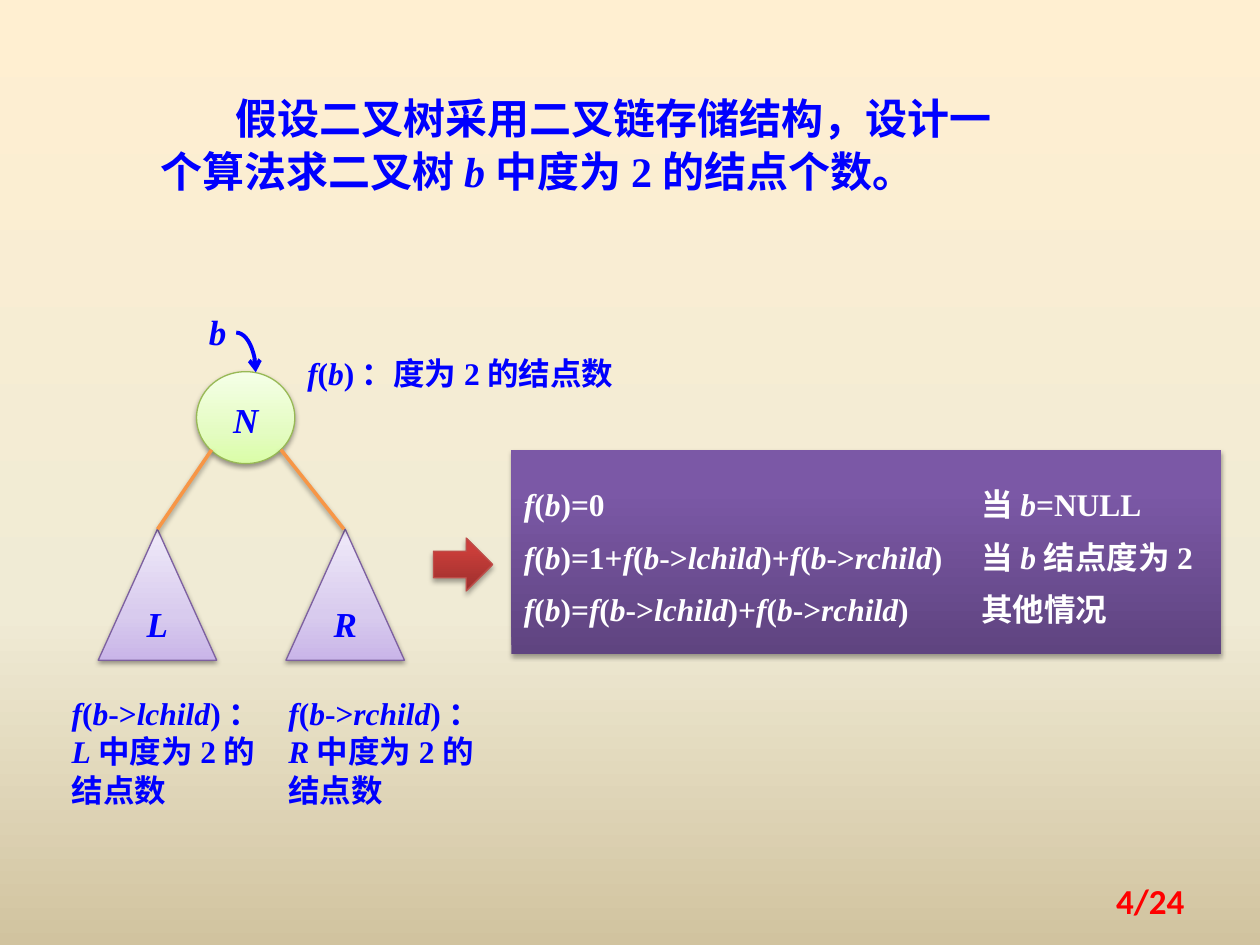
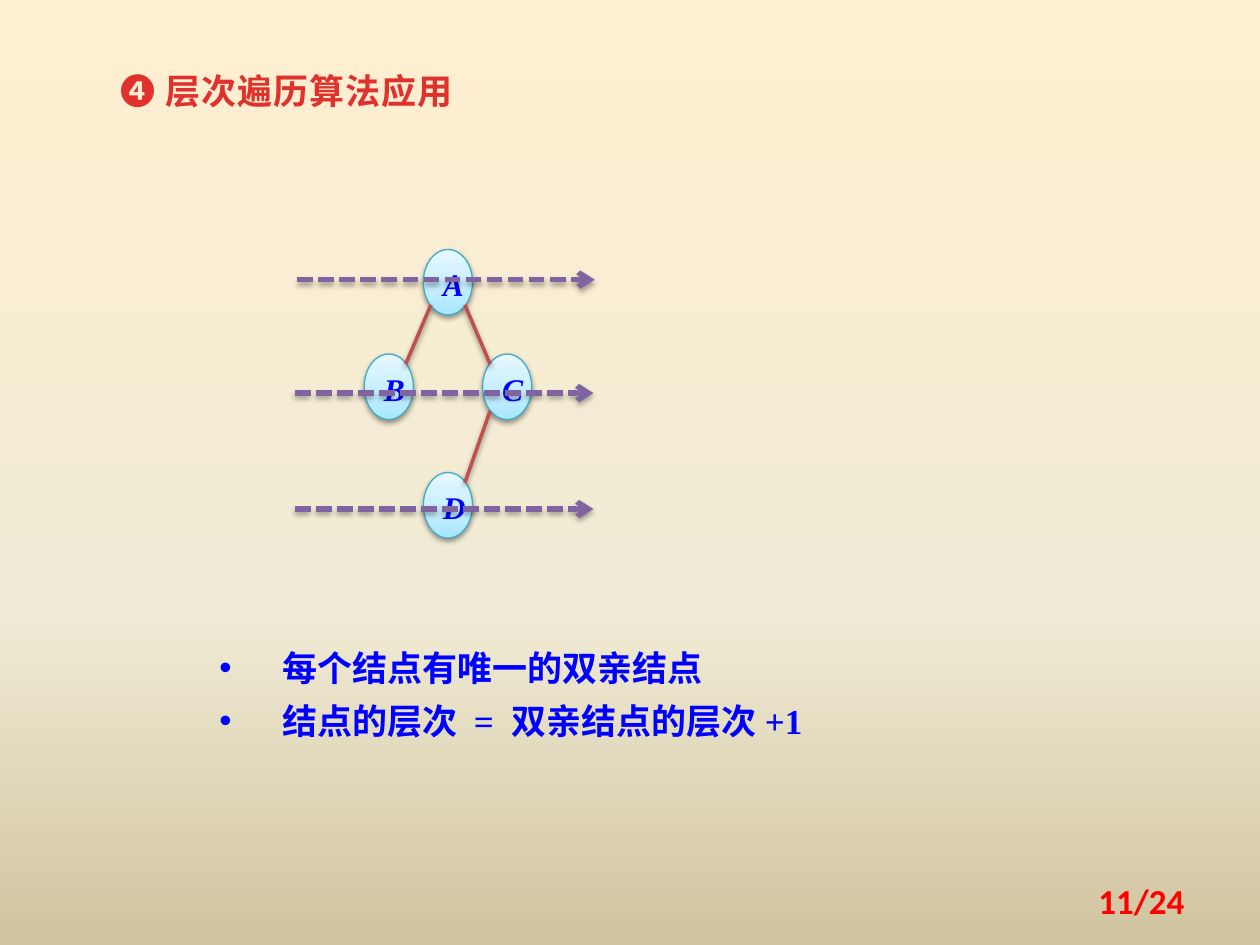
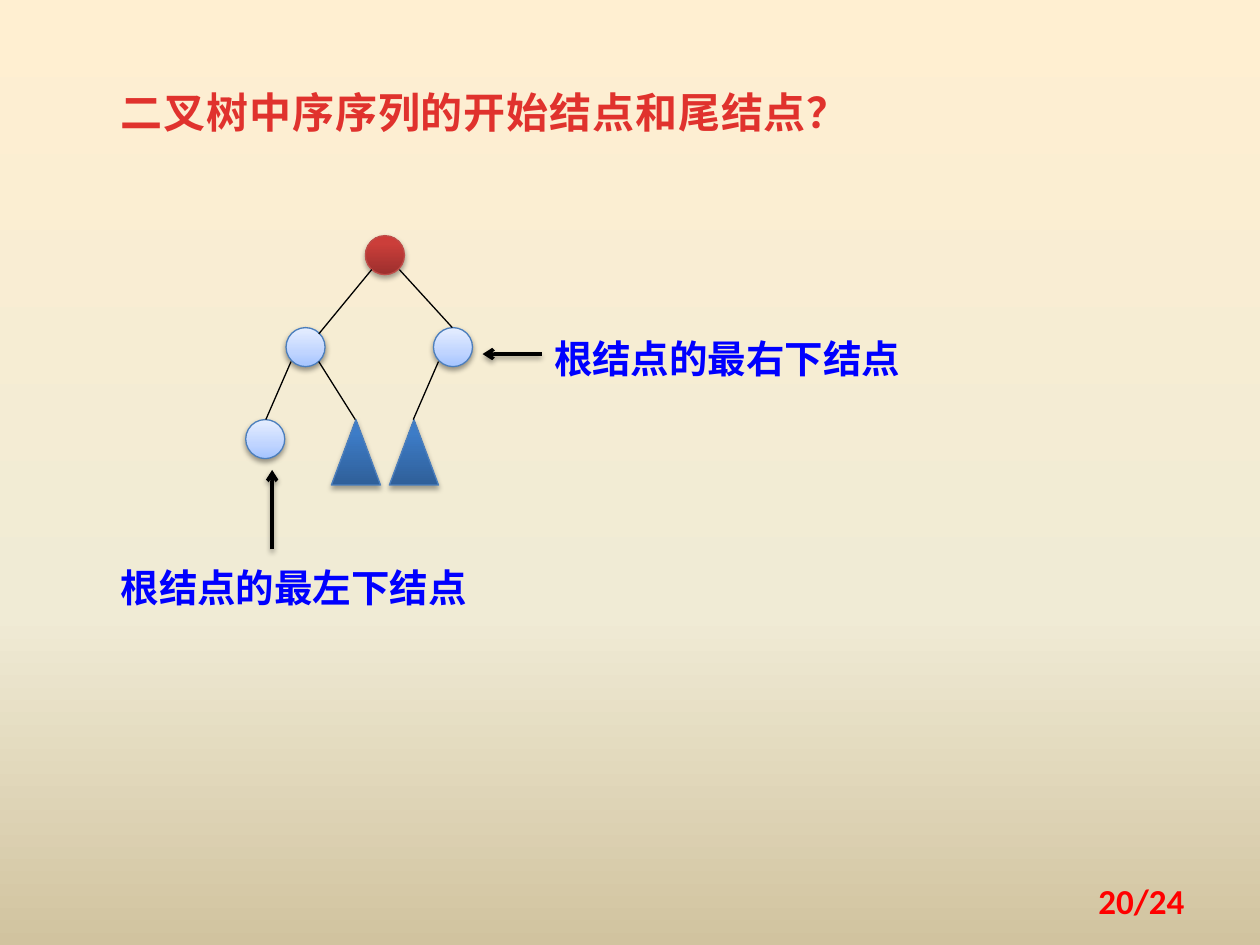
"""Builds three slides on binary tree algorithms."""
from lxml import etree
from pptx import Presentation
from pptx import util as u
from pptx.dml.color import RGBColor
from pptx.enum import dml, shapes, text
from pptx.oxml.ns import qn

COLOURS = {
    "blue": "0000FF", "red": "FF0000", "title red": "E0322D", "white": "FFFFFF",
    "black": "000000", "orange": "F79646", "brick": "C0504D", "purple": "8064A2",
    "page": "FFEFD1 F0EBD5 D1C39F",
    "green": "DAFDA7 E4FCC2 F5FFE7", "green edge": "98B955",
    "lilac": "C9B5E8 D8CBEE F0EAF9", "lilac edge": "7D60A0",
    "aqua": "A7E6FF C1EDFF E7F8FF", "aqua edge": "46AAC5",
    "sky": "A4C4FF BFD4FF E6EEFF", "sky edge": "4B7EBC",
    "violet": "5F4480 7B58A6 7C57A8",
    "crimson": "9C2F2D CB3E3A CE3B37", "crimson edge": "BF4C48",
    "navy": "2F5F99 3D7CC7 3A7CCB", "navy edge": "4B7EBC",
}
SERIF, SANS, NUMBER = "Times New Roman", "Noto Sans CJK SC", "Calibri"
STRONG = ("violet", "crimson", "navy")
SHAPE = shapes.MSO_SHAPE


def shade(fill, holder, name, middle, angle):
    """Give a fill a gradient of three colours."""
    fill.gradient()
    fill.gradient_angle = angle
    stops = next(holder.iter(qn("a:gsLst")))
    for stop in list(stops):
        stops.remove(stop)
    for place, value in zip((0, middle, 100), COLOURS[name].split()):
        stop = etree.SubElement(stops, qn("a:gs"), pos=str(place * 1000))
        etree.SubElement(stop, qn("a:srgbClr"), val=value)


def write(para, words, size, colour="blue", spacing=u.Pt(30), font=SERIF, align="LEFT"):
    """Fill a paragraph run by run; asterisks enclose italics."""
    para.line_spacing = spacing
    para.space_before = u.Pt(0)
    para.alignment = getattr(text.PP_ALIGN, align)
    for index, part in enumerate(words.split("*")):
        if part:
            span = para.add_run()
            span.text = part
            span.font.size = u.Pt(size)
            span.font.bold = True
            span.font.italic = index % 2 == 1
            span.font.name = font
            span.font.color.rgb = RGBColor.from_string(COLOURS[colour])
            props = span.font._element
            etree.SubElement(props, qn("a:ea"), typeface=SANS)
            if font == SANS:
                props.set("spc", "50")


deck = Presentation()
deck.slide_width, deck.slide_height = u.Inches(10), u.Inches(7.5)
master = deck.slide_master
shade(master.background.fill, master._element, "page", 65, 270)

titles = [
    (5, (1.17, 0.67, 6.95, 0.94), "假设二叉树采用二叉链存储结构，设计一个算法求二叉树*b*中度为2的结点个数。",
     24, "blue", SERIF, "4/24"),
    (1, (0.86, 0.42, 3.2, 0.52), "❹ 层次遍历算法应用", 20, "title red", SANS, "11/24"),
    (5, (0.86, 0.62, 6.25, 0.52), "二叉树中序序列的开始结点和尾结点？", 24, "title red", SANS, "20/24"),
]
pages = []
for layout, place, words, size, colour, font, number in titles:
    page = deck.slides.add_slide(deck.slide_layouts[layout])
    pages.append(page)
    title = page.shapes.title
    title.left, title.top, title.width, title.height = map(u.Inches, place)
    frame = title.text_frame
    frame.auto_size = text.MSO_AUTO_SIZE.NONE
    frame.vertical_anchor = text.MSO_ANCHOR.TOP
    write(frame.paragraphs[0], words, size, colour, font=font)
    box = page.shapes.add_textbox(*map(u.Inches, (7.17, 6.95, 2.33, 0.4)))
    box.text_frame.word_wrap = True
    box.text_frame.vertical_anchor = text.MSO_ANCHOR.MIDDLE
    write(box.text_frame.paragraphs[0], number, 20, "red", 1.0, NUMBER, "RIGHT")
recursion, levels, ends = pages
recursion.shapes.title.text_frame.paragraphs[0]._p.get_or_add_pPr().set("indent", str(u.Inches(0.6)))

body = levels.placeholders[1]
body.left, body.top, body.width, body.height = map(u.Inches, (1.64, 5, 5.08, 0.94))
body.text_frame.auto_size = text.MSO_AUTO_SIZE.NONE
for index, words in enumerate(("每个结点有唯一的双亲结点", "结点的层次 = 双亲结点的层次+1")):
    para = body.text_frame.add_paragraph() if index else body.text_frame.paragraphs[0]
    write(para, words, 20)
    props = para._p.get_or_add_pPr()
    props.set("marL", str(u.Inches(0.5)))
    props.set("indent", str(u.Inches(-0.5)))

forms = [
    (recursion, SHAPE.OVAL, (1.56, 2.95, 0.78, 0.73), "green", "N", 20, 1.1),
    (recursion, SHAPE.RECTANGLE, (4.06, 3.57, 5.63, 1.62), "violet", "", 18, 1.0),
    (recursion, SHAPE.RIGHT_ARROW, (3.44, 4.27, 0.47, 0.42), "crimson", "", 18, 1.0),
    (ends, SHAPE.OVAL, (2.9, 1.87, 0.31, 0.31), "crimson", "", 18, 1.0),
]
for left, label in ((0.78, "L"), (2.27, "R")):
    forms.append((recursion, SHAPE.ISOSCELES_TRIANGLE, (left, 4.2, 0.94, 1.04), "lilac", label, 20, u.Pt(20)))
for left, top, label in ((2.89, 2.81, "B"), (3.36, 1.98, "A"), (3.83, 2.81, "C"), (3.36, 3.75, "D")):
    forms.append((levels, SHAPE.OVAL, (left, top, 0.39, 0.52), "aqua", label, 18, 1.1))
for left, top in ((2.27, 2.6), (1.95, 3.33), (3.44, 2.6)):
    forms.append((ends, SHAPE.OVAL, (left, top, 0.31, 0.31), "sky", "", 18, 1.0))
for left in (2.63, 3.09):
    forms.append((ends, SHAPE.ISOSCELES_TRIANGLE, (left, 3.33, 0.39, 0.52), "navy", "", 18, 1.0))

shadowed, arrowed = [], []
for page, kind, place, name, label, size, spacing in forms:
    form = page.shapes.add_shape(kind, *map(u.Inches, place))
    shade(form.fill, form._element.spPr, name, 80 if name in STRONG else 35, 90)
    if name + " edge" in COLOURS:
        form.line.color.rgb = RGBColor.from_string(COLOURS[name + " edge"])
        form.line.width = u.Pt(0.75)
    else:
        form.line.fill.background()
        formula = form.text_frame
    if label:
        write(form.text_frame.paragraphs[0], f"*{label}*", size, "blue", spacing, align="CENTER")
    form.shadow.inherit = False
    shadowed.append((form, 35 if name in STRONG else 38))

formula.margin_top, formula.margin_bottom = u.Inches(0.16), u.Inches(0.2)
cases = (
    "*f*(*b*)=0\t当*b*=NULL",
    "*f*(*b*)=1+*f*(*b*->*lchild*)+*f*(*b*->*rchild*)\t当*b*结点度为2",
    "*f*(*b*)=*f*(*b*->*lchild*)+*f*(*b*->*rchild*)\t其他情况",
)
for index, words in enumerate(cases):
    para = formula.add_paragraph() if index else formula.paragraphs[0]
    write(para, words, 18, "white")
    tabs = etree.SubElement(para._p.get_or_add_pPr(), qn("a:tabLst"))
    etree.SubElement(tabs, qn("a:tab"), pos=str(u.Inches(3.63)), algn="l")

pointer = recursion.shapes.add_shape(SHAPE.ARC, *map(u.Inches, (1.72, 2.64, 0.31, 0.63)))
pointer.fill.background()
pointer.shadow.inherit = False
pointer.line.color.rgb = RGBColor.from_string(COLOURS["blue"])
pointer.line.width = u.Pt(2.25)
arrowed.append(pointer)

links = [
    (recursion, "orange", 2, 38, False, ((1.68, 3.57, 1.25, 4.2), (2.23, 3.57, 2.73, 4.2))),
    (levels, "brick", 2, 38, False,
     ((3.42, 2.42, 3.22, 2.89), (3.69, 2.42, 3.89, 2.89), (3.89, 3.26, 3.69, 3.83))),
    (levels, "purple", 3, 35, True,
     ((2.36, 2.22, 4.72, 2.22), (2.34, 3.12, 4.71, 3.12), (2.34, 4.04, 4.71, 4.04))),
    (ends, "black", 0.75, 0, False,
     ((2.95, 2.14, 2.53, 2.65), (3.17, 2.14, 3.59, 2.6), (2.31, 2.87, 2.11, 3.33),
      (2.53, 2.87, 2.82, 3.33), (3.48, 2.87, 3.28, 3.33))),
    (ends, "black", 2, 38, True, ((2.16, 4.36, 2.16, 3.73), (4.3, 2.81, 3.83, 2.81))),
]
for page, colour, width, strength, arrow, lines in links:
    for points in lines:
        link = page.shapes.add_connector(shapes.MSO_CONNECTOR.STRAIGHT, *map(u.Inches, points))
        link.line.color.rgb = RGBColor.from_string(COLOURS[colour])
        link.line.width = u.Pt(width)
        if colour == "purple":
            link.line.dash_style = dml.MSO_LINE.SQUARE_DOT
        etree.SubElement(link._element.spPr, qn("a:effectLst"))
        if strength:
            shadowed.append((link, strength))
        if arrow:
            arrowed.append(link)

for item, strength in shadowed:
    effects = item._element.spPr.find(qn("a:effectLst"))
    distance = 1.8 if strength == 35 else 1.6
    shadow = etree.SubElement(effects, qn("a:outerShdw"), blurRad=str(u.Pt(3.1)),
                              dist=str(u.Pt(distance)), dir="5400000", rotWithShape="0")
    tone = etree.SubElement(shadow, qn("a:srgbClr"), val=COLOURS["black"])
    etree.SubElement(tone, qn("a:alpha"), val=str(strength * 1000))
for item in arrowed:
    etree.SubElement(item._element.spPr.find(qn("a:ln")), qn("a:tailEnd"), type="arrow")

notes = [
    (recursion, (1.56, 2.33, 0.47, 0.52), "*b*", 20, 30),
    (recursion, (2.34, 2.64, 2.89, 0.52), "*f*(*b*)：度为2的结点数", 18, 30),
    (recursion, (0.47, 5.45, 1.72, 1.03), "*f*(*b*->*lchild*)：*L*中度为2的结点数", 18, 22),
    (recursion, (2.19, 5.45, 1.72, 1.03), "*f*(*b*->*rchild*)：*R*中度为2的结点数", 18, 22),
    (ends, (0.86, 4.38, 2.97, 0.49), "根结点的最左下结点", 22, 30),
    (ends, (4.3, 2.56, 3.13, 0.49), "根结点的最右下结点", 22, 30),
]
for page, place, words, size, spacing in notes:
    box = page.shapes.add_textbox(*map(u.Inches, place))
    box.text_frame.word_wrap = True
    write(box.text_frame.paragraphs[0], words, size, spacing=u.Pt(spacing))

deck.save("out.pptx")
